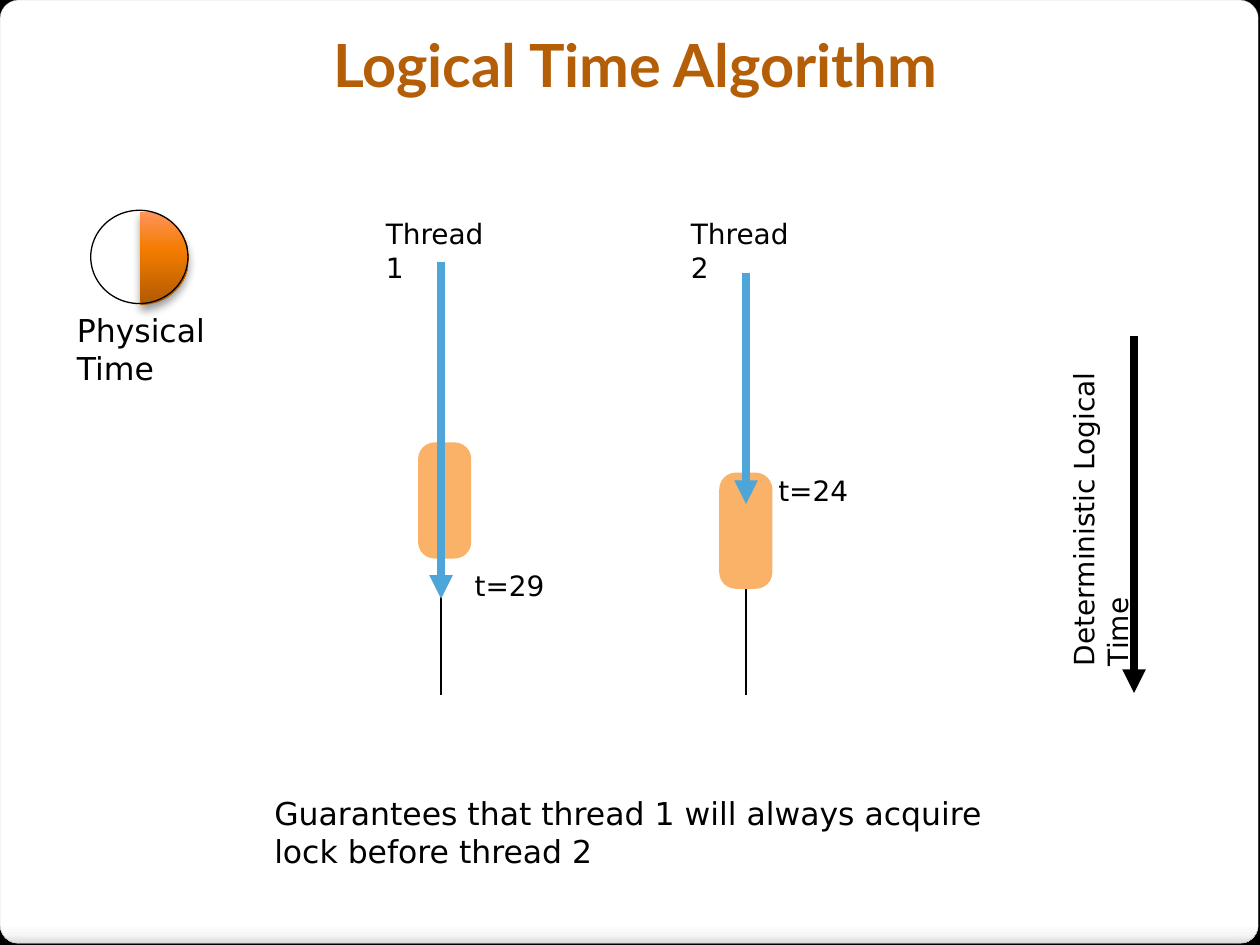
from lxml import etree
from pptx import Presentation
from pptx.dml.color import RGBColor
from pptx.enum.shapes import MSO_CONNECTOR, MSO_SHAPE
from pptx.enum.text import MSO_ANCHOR, PP_ALIGN
from pptx.oxml.ns import qn
from pptx.util import Cm, Pt

STRAIGHT = MSO_CONNECTOR.STRAIGHT
ROUNDED, PIE, OVAL = MSO_SHAPE.ROUNDED_RECTANGLE, MSO_SHAPE.PIE, MSO_SHAPE.OVAL
TOP, CENTER, LEFT = MSO_ANCHOR.TOP, PP_ALIGN.CENTER, PP_ALIGN.LEFT

THEME = {
    "black": "000000", "title": "B45F07", "lock": "F9B268",
    "progress": "4EA5D8", "panel_line": "A4A4A4",
    "panel": [(0, "FFFFFF"), (98, "FFFFFF"), (99, "F7F7F7"), (100, "DADADA")],
    "clock": [(0, "B05A00"), (60, "F47C00"), (100, "FF945C")],
    "body_font": "DejaVu Sans", "title_font": "Lato",
    "title_size": 34, "body_size": 18, "label_size": 16,
}

# Content: lengths in centimetres
TITLE = "Logical Time Algorithm"
THREADS = [
    {"name": "Thread 1", "axis": 8.89, "start": 5.28, "end": 12.07,
     "lock": (8.43, 8.92), "time": "t=29", "time_at": (9.32, 11.33)},
    {"name": "Thread 2", "axis": 15.04, "start": 5.51, "end": 10.16,
     "lock": (14.5, 9.53), "time": "t=24", "time_at": (15.44, 9.42)},
]
THREAD_TOP, THREAD_BOTTOM = 5.51, 14.02
LOCK_SIZE = (1.07, 2.34)
CLOCK_SIZE = (1.96, 1.88)
CLOCK_LABEL = ("Physical Time", (1.3, 6.15, 3.15, 0.76))
TIME_AXIS = (22.86, 6.78, 13.97)
TIME_AXIS_LABEL = ("Deterministic Logical Time", (18.29, 9.65, 7.11, 0.94))
CONCLUSION = ("Guarantees that thread 1 will always acquire lock before thread 2",
              (5.28, 15.88, 15.88, 1.8))


def color(name):
    return RGBColor.from_string(THEME[name])


def set_font(paragraph, font_name, size, color_name, bold=False):
    values = {"name": THEME[font_name], "size": Pt(THEME[size]), "bold": bold}
    for attribute, value in values.items():
        setattr(paragraph.font, attribute, value)
    paragraph.font.color.rgb = color(color_name)


def add_text(slide, text, box, size="label_size", wrap=True, rotation=0):
    shape = slide.shapes.add_textbox(*map(Cm, box))
    shape.rotation = rotation
    shape.text_frame.word_wrap = wrap
    paragraph = shape.text_frame.paragraphs[0]
    paragraph.text = text
    paragraph.alignment = LEFT
    set_font(paragraph, "body_font", size, "black")
    return shape


def add_shape(slide, kind, box, fill=None, line=None, width=0.75):
    shape = slide.shapes.add_shape(kind, *map(Cm, box))
    shape.shadow.inherit = False
    if fill:
        shape.fill.solid()
        shape.fill.fore_color.rgb = color(fill)
    else:
        shape.fill.background()
    if line:
        shape.line.color.rgb = color(line)
        shape.line.width = Pt(width)
    else:
        shape.line.fill.background()
    return shape


def set_gradient(shape, stops, angle):
    shape.fill.gradient()
    shape.fill.gradient_angle = angle
    stop_list = shape.element.spPr.find(qn("a:gradFill")).find(qn("a:gsLst"))
    for stop in list(stop_list):
        stop_list.remove(stop)
    for position, value in THEME[stops]:
        stop = etree.SubElement(stop_list, qn("a:gs"), pos=str(position * 1000))
        etree.SubElement(stop, qn("a:srgbClr"), val=value)


def add_shadow(shape, color_name):
    effects = shape.element.spPr.find(qn("a:effectLst"))
    shadow = etree.SubElement(effects, qn("a:outerShdw"), blurRad=str(Pt(5.2)),
                              dist=str(Pt(3)), dir="5400000", rotWithShape="0")
    shade = etree.SubElement(shadow, qn("a:srgbClr"), val=THEME[color_name])
    etree.SubElement(shade, qn("a:alpha"), val="40000")


def add_vertical(slide, x, top, bottom, color_name, width, arrow=False):
    connector = slide.shapes.add_connector(STRAIGHT, Cm(x), Cm(top), Cm(x), Cm(bottom))
    connector.line.color.rgb = color(color_name)
    connector.line.width = Pt(width)
    properties = connector.element.spPr
    if arrow:
        etree.SubElement(properties.find(qn("a:ln")), qn("a:tailEnd"), type="triangle")
    etree.SubElement(properties, qn("a:effectLst"))


def add_background(slide):
    slide.background.fill.solid()
    slide.background.fill.fore_color.rgb = color("black")
    panel = add_shape(slide, ROUNDED, (0, 0, 25.37, 19.02), line="panel_line", width=0.16)
    panel.adjustments[0] = 0.02
    set_gradient(panel, "panel", 270)
    # Send the panel behind the title
    slide.shapes.title.element.addprevious(panel.element)


def add_title(slide):
    title = slide.shapes.title
    box = {"left": 0.64, "top": 0.43, "width": 24.33, "height": 2.11}
    for attribute, value in box.items():
        setattr(title, attribute, Cm(value))
    title.text_frame.text = TITLE
    title.text_frame.vertical_anchor = TOP
    paragraph = title.text_frame.paragraphs[0]
    paragraph.alignment = CENTER
    set_font(paragraph, "title_font", "title_size", "title", bold=True)


def add_thread(slide, thread):
    axis = thread["axis"]
    add_vertical(slide, axis, THREAD_TOP, THREAD_BOTTOM, "black", 1.5)
    add_text(slide, thread["name"], (axis - 1.36, 4.24, 2.77, 0.94))
    add_text(slide, thread["time"], (*thread["time_at"], 1.93, 0.94), wrap=False)
    lock = add_shape(slide, ROUNDED, (*thread["lock"], *LOCK_SIZE), fill="lock")
    lock.adjustments[0] = 0.31
    add_vertical(slide, axis, thread["start"], thread["end"], "progress", 4.5, arrow=True)


def add_clock(slide):
    elapsed = add_shape(slide, PIE, (1.85, 4.27, *CLOCK_SIZE))
    # Right half: angles from 270 to 90 degrees, in units of 5/3 degree
    elapsed.adjustments[0], elapsed.adjustments[1] = 270 * 0.6, 90 * 0.6
    set_gradient(elapsed, "clock", 90)
    add_shadow(elapsed, "black")
    add_shape(slide, OVAL, (1.83, 4.24, *CLOCK_SIZE), line="black")
    add_text(slide, *CLOCK_LABEL, size="body_size")


def main():
    presentation = Presentation()
    presentation.slide_width, presentation.slide_height = Cm(25.4), Cm(19.05)
    slide = presentation.slides.add_slide(presentation.slide_layouts[5])
    add_background(slide)
    add_title(slide)
    for thread in THREADS:
        add_thread(slide, thread)
    # Logical time axis
    add_vertical(slide, *TIME_AXIS, "black", 4.5, arrow=True)
    add_text(slide, *TIME_AXIS_LABEL, rotation=270)
    add_clock(slide)
    add_text(slide, *CONCLUSION, size="body_size")
    presentation.save("out.pptx")


if __name__ == "__main__":
    main()
